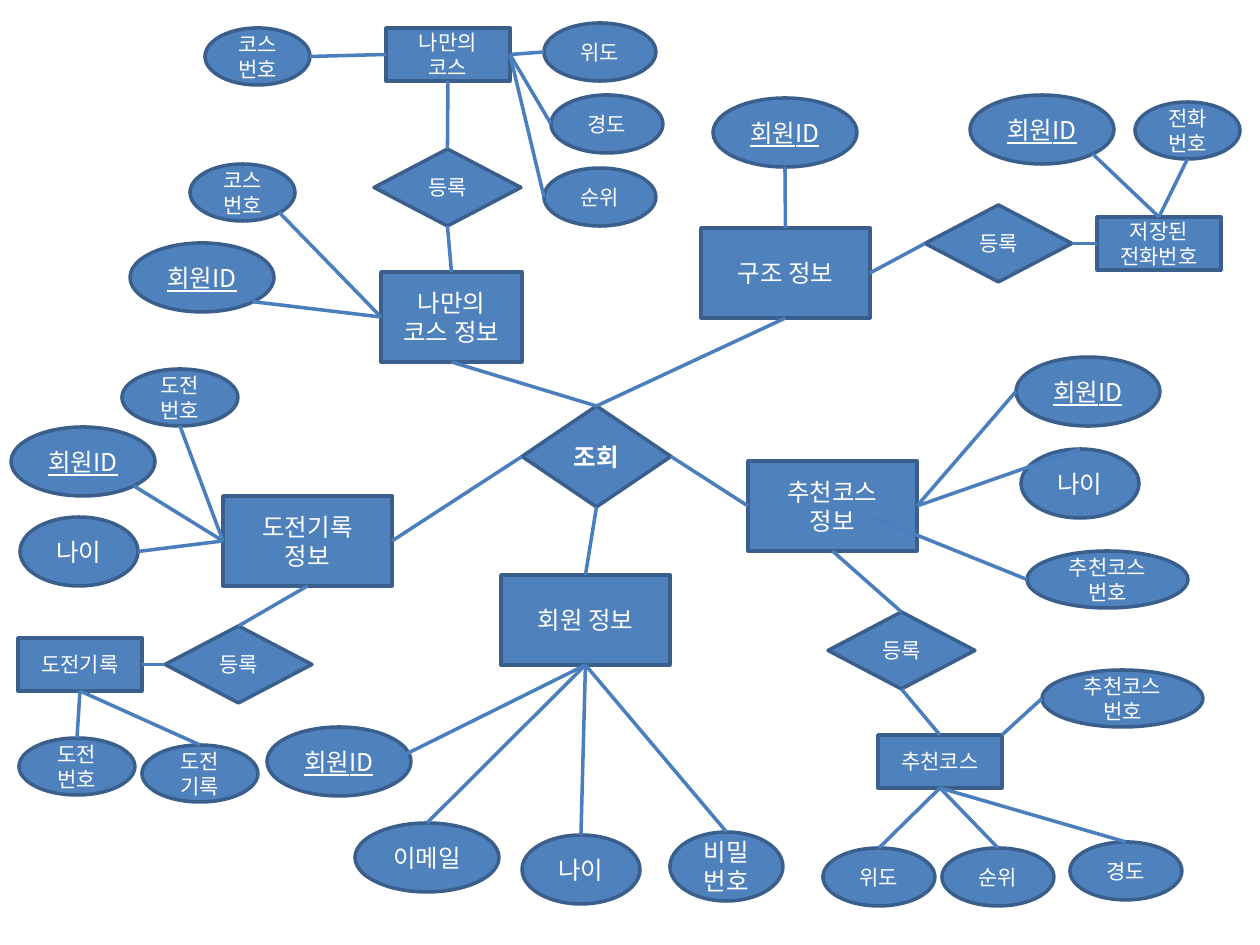
from lxml.etree import SubElement
from pptx import Presentation
from pptx.dml.color import RGBColor
from pptx.enum.shapes import MSO_CONNECTOR, MSO_SHAPE
from pptx.enum.text import MSO_ANCHOR, PP_ALIGN
from pptx.oxml.ns import qn
from pptx.util import Pt

PX = 914400 // 126
FONT = "Noto Sans CJK KR"
RECT, OVAL, DIAMOND = MSO_SHAPE.RECTANGLE, MSO_SHAPE.OVAL, MSO_SHAPE.DIAMOND

KINDS = {
    "info": (RECT, 169, 90, 14), "narrow info": (RECT, 141, 90, 14),
    "entity": (RECT, 124, 53, 12), "relation": (DIAMOND, 147, 77, 12),
    "search": (DIAMOND, 149, 101, 14), "key": (OVAL, 144, 69, 14),
    "email": (OVAL, 144, 69, 14), "age": (OVAL, 118, 69, 14),
    "password": (OVAL, 113, 69, 14), "number": (OVAL, 105, 57, 12),
    "record": (OVAL, 116, 57, 12), "long number": (OVAL, 161, 57, 12),
    "position": (OVAL, 112, 58, 12),
}

SITES = ("top", "left", "bottom", "right")
SIDES = {
    "top": (0.5, 0), "left": (0, 0.5), "bottom": (0.5, 1), "right": (1, 0.5),
    "lower right": (0.85, 0.85), "corner": (1, 0),
    "inside": (0.73, 0.62), "near right": (0.91, 0.45),
}

REGIONS = {
    "course": ((130, 23), [
        ("info", "narrow info", 251, 249, "나만의 코스 정보"),
        ("id", "key", 0, 220, "회원ID"),
        ("info number", "number", 60, 141, "코스번호"),
        ("relation", "relation", 244, 126, "등록"),
        ("entity", "entity", 256, 5, "나만의\n코스"),
        ("number", "number", 75, 5, "코스번호"),
        ("latitude", "position", 414, 0, "위도"),
        ("longitude", "position", 421, 72, "경도"),
        ("order", "position", 414, 145, "순위"),
    ], [
        ("id", "lower right", "info", "left"),
        ("info number", "lower right", "info", "left"),
        ("relation", "bottom", "info", "top"),
        ("entity", "bottom", "relation", "top"),
        ("entity", "left", "number", "right"),
        ("entity", "right", "latitude", "left"),
        ("entity", "right", "longitude", "left"),
        ("entity", "right", "order", "left"),
    ]),
    "rescue": ((701, 95), [
        ("info", "info", 0, 133, "구조 정보"),
        ("id", "key", 12, 3, "회원ID"),
        ("relation", "relation", 224, 110, "등록"),
        ("entity", "entity", 396, 122, "저장된\n전화번호"),
        ("phone", "number", 434, 7, "전화\n번호"),
        ("entity id", "key", 269, 0, "회원ID"),
    ], [
        ("id", "bottom", "info", "top"),
        ("info", "right", "relation", "left"),
        ("entity", "left", "relation", "right"),
        ("entity", "top", "phone", "bottom"),
        ("entity id", "lower right", "entity", "top"),
    ]),
    "recommended": ((748, 357), [
        ("info", "info", 0, 104, "추천코스\n정보"),
        ("id", "key", 268, 0, "회원ID"),
        ("age", "age", 273, 92, "나이"),
        ("info number", "long number", 279, 194, "추천코스\n번호"),
        ("relation", "relation", 80, 255, "등록"),
        ("entity", "entity", 130, 378, "추천코스"),
        ("number", "long number", 294, 313, "추천코스\n번호"),
        ("latitude", "position", 75, 491, "위도"),
        ("order", "position", 194, 491, "순위"),
        ("longitude", "position", 322, 485, "경도"),
    ], [
        ("id", "left", "info", "right"),
        ("info", "right", "age", "top"),
        ("info", "inside", "info number", "left"),
        ("info", "bottom", "relation", "top"),
        ("relation", "bottom", "entity", "top"),
        ("entity", "corner", "number", "left"),
        ("entity", "bottom", "latitude", "top"),
        ("entity", "bottom", "order", "top"),
        ("entity", "bottom", "longitude", "top"),
    ]),
    "challenge": ((11, 369), [
        ("info", "info", 212, 127, "도전기록\n정보"),
        ("id", "key", 0, 58, "회원ID"),
        ("age", "age", 9, 148, "나이"),
        ("info number", "record", 111, 0, "도전\n번호"),
        ("relation", "relation", 154, 257, "등록"),
        ("entity", "entity", 7, 269, "도전기록"),
        ("number", "record", 8, 369, "도전\n번호"),
        ("record", "record", 131, 376, "도전 기록"),
    ], [
        ("info", "left", "id", "lower right"),
        ("info", "left", "age", "right"),
        ("info", "left", "info number", "bottom"),
        ("info", "bottom", "relation", "top"),
        ("relation", "left", "entity", "right"),
        ("entity", "bottom", "number", "top"),
        ("entity", "bottom", "record", "top"),
    ]),
    "member": ((267, 406), [
        ("search", "search", 255, 0, "조회"),
        ("info", "info", 234, 169, "회원 정보"),
        ("id", "key", 0, 321, "회원ID"),
        ("email", "email", 88, 417, "이메일"),
        ("age", "age", 255, 429, "나이"),
        ("password", "password", 403, 426, "비밀\n번호"),
    ], [
        ("search", "bottom", "info", "top"),
        ("info", "bottom", "id", "near right"),
        ("info", "bottom", "email", "top"),
        ("info", "bottom", "age", "top"),
        ("info", "bottom", "password", "top"),
    ]),
}

SEARCH_LINKS = [("course", "bottom", "top"), ("rescue", "bottom", "top"),
                ("challenge", "right", "left"), ("recommended", "left", "right")]


def color(value):
    """Turn a hex string into a colour."""
    return RGBColor.from_string(value)


def draw_node(slide, kind, left, top, words):
    """Draw one labelled entity, relation or attribute."""
    outline, width, height, size = KINDS[kind]
    node = slide.shapes.add_shape(outline, left * PX, top * PX, width * PX, height * PX)
    node.shadow.inherit = False
    node.fill.solid()
    node.fill.fore_color.rgb = color("4F81BD")
    node.line.color.rgb = color("3A5F8C")
    node.line.width = Pt(2)
    label = node.text_frame
    label.text = words
    label.word_wrap = True
    label.vertical_anchor = MSO_ANCHOR.MIDDLE
    for paragraph in label.paragraphs:
        paragraph.alignment = PP_ALIGN.CENTER
        font = paragraph.font
        font.size, font.name = Pt(size), FONT
        font.color.rgb = color("FFFFFF")
        if kind == "key":
            font.underline = True
        if kind == "search":
            font.bold = True
        defaults = paragraph._p.pPr.find(qn("a:defRPr"))
        SubElement(defaults, qn("a:ea"), typeface=FONT)
    return node


def anchor(node, side):
    """Find the point of a node that a side names."""
    across, down = SIDES[side]
    return int(node.left + across * node.width), int(node.top + down * node.height)


def draw_link(slide, start, start_side, end, end_side):
    """Join two nodes, glued where they have four connection sites."""
    link = slide.shapes.add_connector(
        MSO_CONNECTOR.STRAIGHT, *anchor(start, start_side), *anchor(end, end_side))
    for connect, node, side in ((link.begin_connect, start, start_side),
                                (link.end_connect, end, end_side)):
        if node.auto_shape_type != OVAL and side in SITES:
            connect(node, SITES.index(side))
    link.line.color.rgb = color("4B7EBC")
    link.line.width = Pt(2)
    SubElement(link._element.spPr, qn("a:effectLst"))


def draw_region(slide, origin, nodes, links):
    """Draw one group of nodes and links from its top left corner."""
    left, top = origin
    drawn = {name: draw_node(slide, kind, left + x, top + y, words)
             for name, kind, x, y, words in nodes}
    for start, start_side, end, end_side in links:
        draw_link(slide, drawn[start], start_side, drawn[end], end_side)
    return drawn


def main():
    """Build the entity relationship slide."""
    deck = Presentation()
    deck.slide_width, deck.slide_height = 1260 * PX, 945 * PX
    slide = deck.slides.add_slide(deck.slide_layouts[6])
    drawn = {name: draw_region(slide, *region) for name, region in REGIONS.items()}
    for name, side, search_side in SEARCH_LINKS:
        draw_link(slide, drawn[name]["info"], side, drawn["member"]["search"], search_side)
    deck.save("out.pptx")


main()
